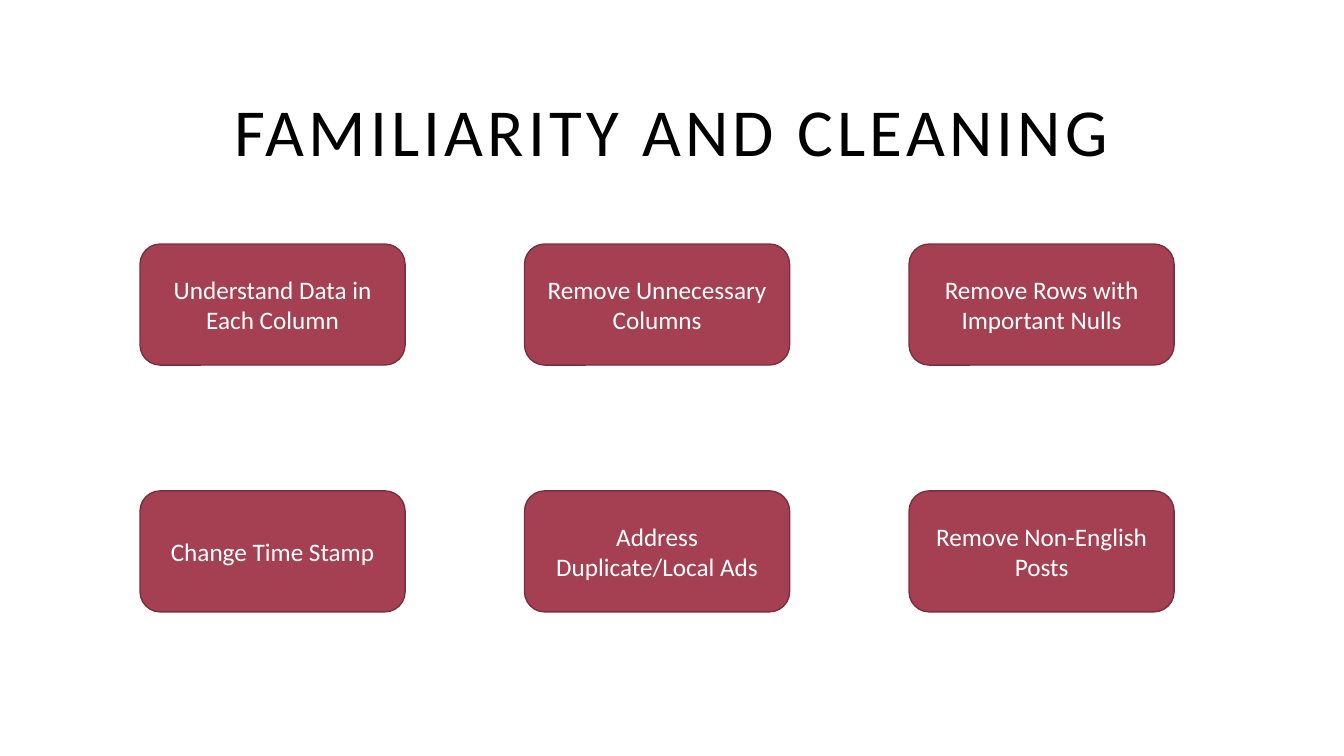
from pptx import Presentation
from pptx.dml.color import RGBColor
from pptx.enum import shapes, text
from pptx.util import Cm, Pt

COLORS = {
    "title": "000000",
    "card": "A53F52",
    "outline": "7A2F3D",
    "card_text": "FFFFFF",
}
STEPS = [
    ["Understand Data in Each Column", "Remove Unnecessary Columns", "Remove Rows with Important Nulls"],
    ["Change Time Stamp", "Address Duplicate/Local Ads", "Remove Non-English Posts"],
]
CARD_WIDTH, CARD_HEIGHT = 6.68, 3.05


def write_centered(shape, wording, size, color):
    """Fill a shape with one centred paragraph."""
    frame = shape.text_frame
    frame.text = wording
    frame.word_wrap = True
    frame.auto_size = text.MSO_AUTO_SIZE.NONE
    frame.vertical_anchor = text.MSO_ANCHOR.MIDDLE
    paragraph = frame.paragraphs[0]
    paragraph.alignment = text.PP_ALIGN.CENTER
    paragraph.font.name = "Calibri"
    paragraph.font.size = Pt(size)
    paragraph.font.color.rgb = RGBColor.from_string(COLORS[color])
    return paragraph


def place_title(slide, left, top, width, height):
    """Move the title placeholder into the box and set its letter spacing."""
    title = slide.shapes.title
    title.left, title.top, title.width, title.height = Cm(left), Cm(top), Cm(width), Cm(height)
    paragraph = write_centered(title, "FAMILIARITY AND CLEANING", 48, "title")
    paragraph.runs[0].font._element.set("spc", "300")


def add_card(slide, wording, left, top):
    """Draw one rounded step card."""
    card = slide.shapes.add_shape(
        shapes.MSO_SHAPE.ROUNDED_RECTANGLE, Cm(left), Cm(top), Cm(CARD_WIDTH), Cm(CARD_HEIGHT))
    card.shadow.inherit = False
    card.fill.solid()
    card.fill.fore_color.rgb = RGBColor.from_string(COLORS["card"])
    card.line.color.rgb = RGBColor.from_string(COLORS["outline"])
    card.line.width = Pt(1)
    write_centered(card, wording, 18, "card_text")


def add_step_grid(slide, left, top, width, height):
    """Spread the step cards evenly over the box."""
    column_pitch = (width - CARD_WIDTH) / (len(STEPS[0]) - 1)
    row_pitch = (height - CARD_HEIGHT) / (len(STEPS) - 1)
    for row, steps in enumerate(STEPS):
        for column, step in enumerate(steps):
            add_card(slide, step, left + column * column_pitch, top + row * row_pitch)


def main():
    """Build and save the slide."""
    presentation = Presentation()
    presentation.slide_width, presentation.slide_height = Cm(33.87), Cm(19.05)
    slide = presentation.slides.add_slide(presentation.slide_layouts[5])
    place_title(slide, 1.65, 2.13, 30.56, 2.29)
    add_step_grid(slide, 3.53, 6.15, 26.06, 9.27)
    presentation.save("out.pptx")


if __name__ == "__main__":
    main()
